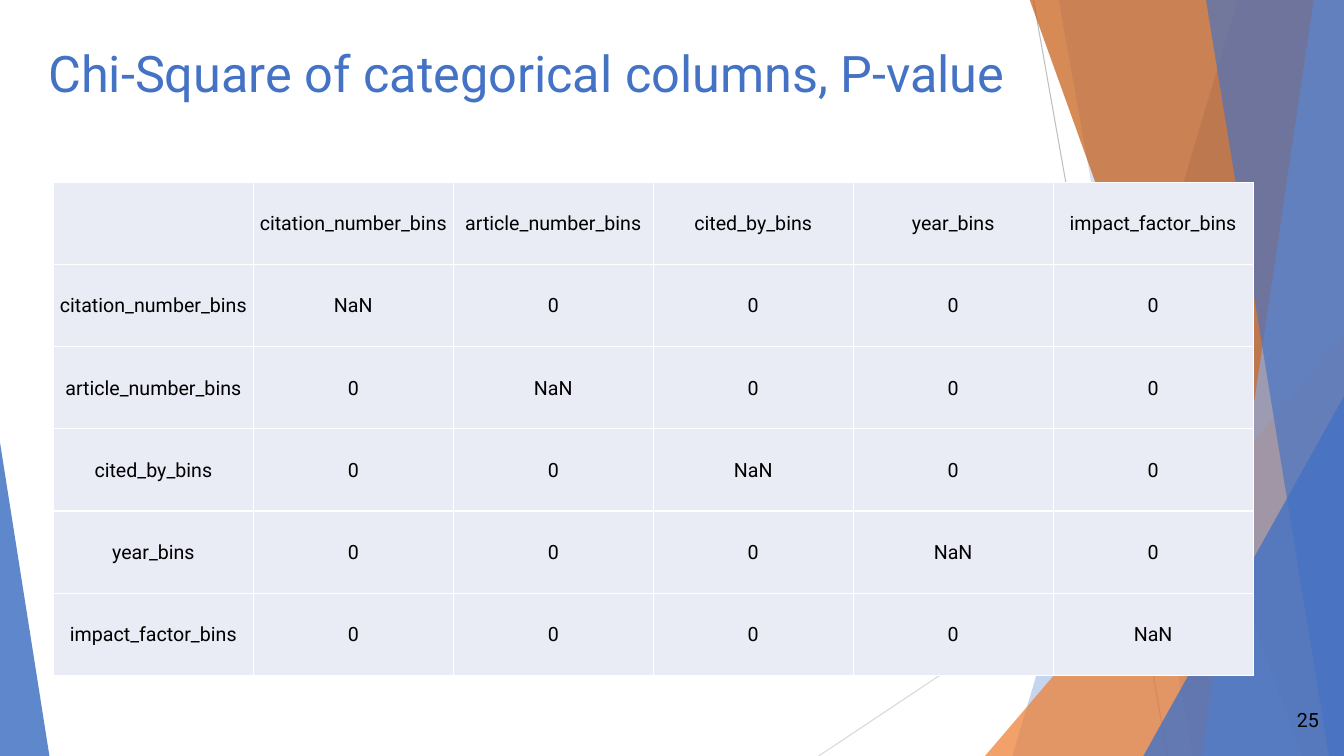
from lxml.etree import SubElement
from pptx import Presentation
from pptx.dml.color import RGBColor
from pptx.enum.shapes import MSO_CONNECTOR as Connector, MSO_SHAPE as Shape
from pptx.enum.text import MSO_ANCHOR as Anchor, MSO_AUTO_SIZE as AutoSize, PP_ALIGN as Align
from pptx.oxml.ns import qn
from pptx.util import Inches, Pt

WIDTH, HEIGHT = 13.33, 7.5
BLUE, ORANGE = "4472C4", "ED7D31"
BINS = ["citation_number_bins", "article_number_bins", "cited_by_bins",
        "year_bins", "impact_factor_bins"]


def rgb(code):
    return RGBColor.from_string(code)


def write(frame, text, size=14, color="000000", align=Align.LEFT):
    paragraph = frame.paragraphs[0]
    paragraph.alignment = align
    run = paragraph.add_run()
    run.text = text
    run.font.name = "Roboto"
    run.font.size = Pt(size)
    run.font.color.rgb = rgb(color)


def tint(facet, color, opacity):
    """Fill a facet with a colour at an opacity in percent, without outline."""
    facet.shadow.inherit = False
    facet.line.fill.background()
    facet.fill.solid()
    facet.fill.fore_color.rgb = rgb(color)
    srgb = facet.fill._xPr.find(qn("a:solidFill"))[0]
    SubElement(srgb, qn("a:alpha"), val=str(opacity * 1000))


def add_ray(slide, start, end, color):
    ray = slide.shapes.add_connector(
        Connector.STRAIGHT, *(Inches(v) for v in (*start, *end)))
    ray.line.color.rgb = rgb(color)
    ray.line.width = Pt(0.75)
    SubElement(ray._element.spPr, qn("a:effectLst"))


def add_band(slide, right, top, bottom, top_reach, bottom_reach, color, opacity):
    """Add a facet that reaches left from the right edge, differently at top and bottom."""
    corners = [(right - top_reach, top), (right, top),
               (right, bottom), (right - bottom_reach, bottom)]
    points = [(Inches(x), Inches(y)) for x, y in corners]
    builder = slide.shapes.build_freeform(*points[0], scale=1.0)
    builder.add_line_segments(points[1:], close=True)
    tint(builder.convert_to_shape(), color, opacity)


def add_corner(slide, left, bottom, width, height, apex, color, opacity):
    corner = slide.shapes.add_shape(
        Shape.ISOSCELES_TRIANGLE, Inches(left), Inches(bottom - height),
        Inches(width), Inches(height))
    corner.adjustments[0] = apex
    tint(corner, color, opacity)


def add_facets(slide, left, top, width, height):
    right, bottom = left + width, top + height
    add_ray(slide, (right - 3.08, top), (right - 1.75, bottom), "BFBFBF")
    add_ray(slide, (right, top + 4.03), (right - 5.21, bottom), "D9D9D9")

    def band(*look):
        add_band(slide, right, top - 0.01, bottom, *look)

    def right_corner(base, rise, *look):
        add_corner(slide, right - base, bottom, base, rise, 1, *look)

    band(1.05, 3.29, BLUE, 30)
    band(2.83, 1.5, BLUE, 20)
    right_corner(3.56, 4.17, ORANGE, 72)
    band(3.12, 0.42, "C55A11", 70)
    band(0.3, 1.41, "8FAADC", 70)
    band(1.37, 0.15, BLUE, 65)
    right_corner(1.99, 3.57, BLUE, 80)
    add_corner(slide, left, bottom, 0.49, 3.11, 0, BLUE, 85)


def add_title(slide, left, top, width, height):
    title = slide.shapes.title
    title.left, title.top = Inches(left), Inches(top)
    title.width, title.height = Inches(width), Inches(height)
    frame = title.text_frame
    frame.auto_size = AutoSize.NONE
    frame.vertical_anchor = Anchor.TOP
    write(frame, "Chi-Square of categorical columns, P-value", size=36, color=BLUE)


def add_page_number(slide, left, top, width, height):
    frame = slide.shapes.add_textbox(
        Inches(left), Inches(top), Inches(width), Inches(height)).text_frame
    frame.word_wrap = True
    frame.vertical_anchor = Anchor.MIDDLE
    write(frame, "25", align=Align.RIGHT)


def format_cell(cell, text):
    cell.margin_left = cell.margin_top = cell.margin_right = Inches(0.01)
    cell.margin_bottom = 0
    cell.vertical_anchor = Anchor.MIDDLE
    if text:
        write(cell.text_frame, text, align=Align.CENTER)
    properties = cell._tc.get_or_add_tcPr()
    for side in ("lnL", "lnR", "lnT", "lnB"):
        border = SubElement(properties, qn(f"a:{side}"), w=str(Pt(1)))
        solid = SubElement(border, qn("a:solidFill"))
        SubElement(solid, qn("a:srgbClr"), val="FFFFFF")
    cell.fill.solid()
    cell.fill.fore_color.rgb = rgb("E9EBF5")


def add_p_values(slide, left, top, width, height):
    """Add the bins-by-bins table: NaN on the diagonal, 0 elsewhere."""
    rows = [["", *BINS]]
    for name in BINS:
        rows.append([name, *("NaN" if name == other else "0" for other in BINS)])
    table = slide.shapes.add_table(
        len(rows), len(rows[0]), Inches(left), Inches(top),
        Inches(width), Inches(height)).table
    table.first_row = table.horz_banding = False
    for r, row in enumerate(rows):
        for c, text in enumerate(row):
            format_cell(table.cell(r, c), text)


def main():
    deck = Presentation()
    deck.slide_width, deck.slide_height = Inches(WIDTH), Inches(HEIGHT)
    slide = deck.slides.add_slide(deck.slide_layouts[5])
    add_facets(slide, 0, 0, WIDTH, HEIGHT)
    add_title(slide, 0.38, 0.37, 10.89, 1.44)
    add_page_number(slide, 12.43, 6.94, 0.75, 0.4)
    add_p_values(slide, 0.53, 1.81, 11.9, 4.89)
    deck.save("out.pptx")


if __name__ == "__main__":
    main()
